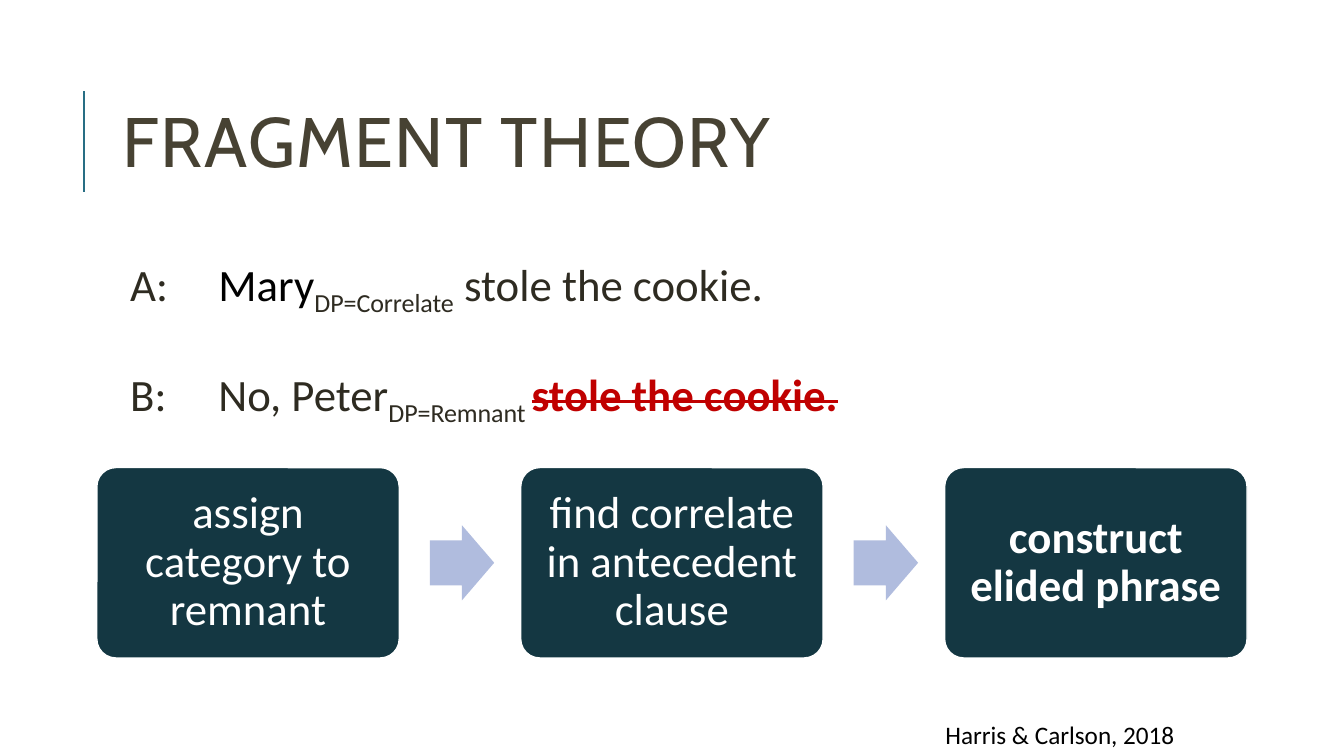
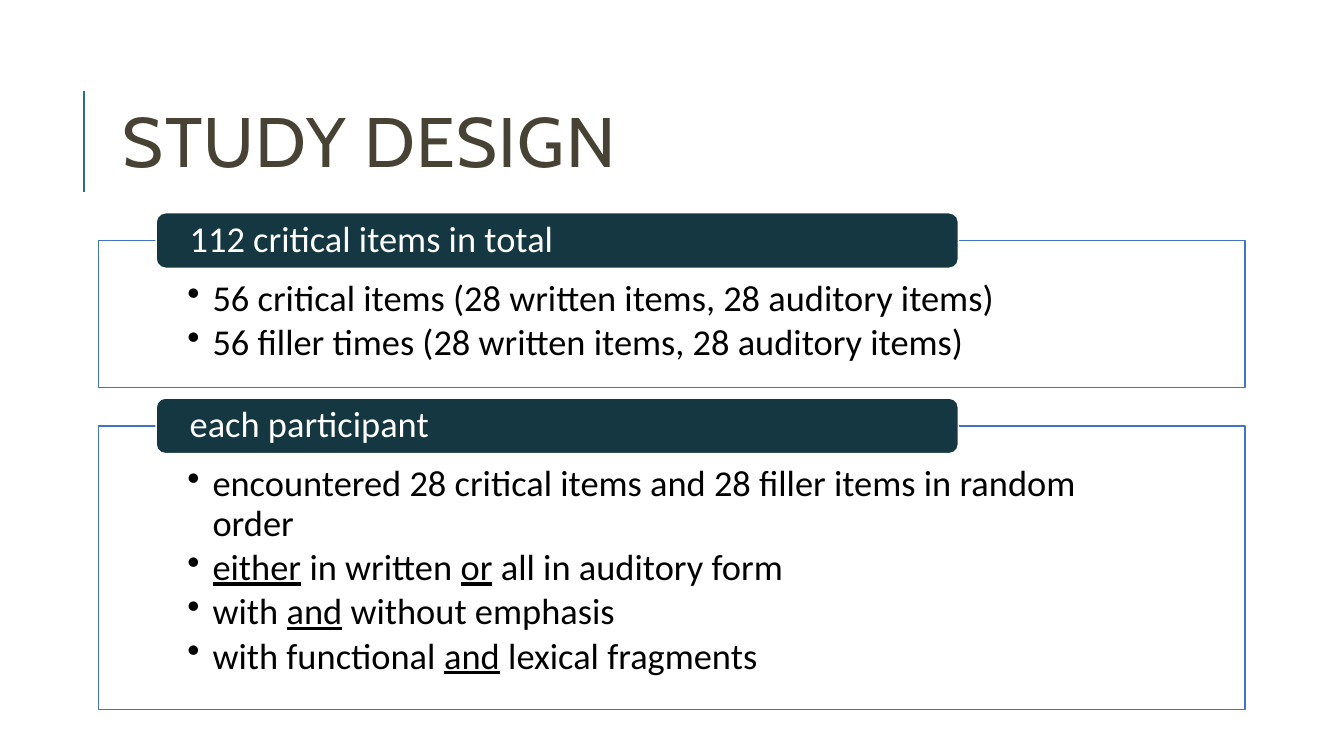
from lxml import etree
from pptx import Presentation
from pptx.dml.color import RGBColor
from pptx.enum.shapes import MSO_CONNECTOR, MSO_SHAPE
from pptx.enum.text import MSO_ANCHOR, MSO_AUTO_SIZE, PP_ALIGN
from pptx.oxml.ns import qn
from pptx.util import Pt

RECT, ROUND = MSO_SHAPE.RECTANGLE, MSO_SHAPE.ROUNDED_RECTANGLE
ARROW, LINE = MSO_SHAPE.RIGHT_ARROW, MSO_CONNECTOR.STRAIGHT
TOP, MIDDLE = MSO_ANCHOR.TOP, MSO_ANCHOR.MIDDLE
LEFT, CENTER, RIGHT = PP_ALIGN.LEFT, PP_ALIGN.CENTER, PP_ALIGN.RIGHT

TITLE_FONT, BODY_FONT = "Cabin", "Calibri"
WHITE, BLACK, RED = "FFFFFF", "000000", "C00000"
NAVY, TEAL, LILAC, BLUE = "143742", "286E84", "B0BCDE", "4472C4"
BROWN, INK = "474233", "2E2B21"

SUB = {"baseline": "-25000"}
UNDER = {"u": "sng"}
STRIKE = {"strike": "sngStrike", "b": "1"}

STEPS = [
    ("assign category to remnant", False),
    ("find correlate in antecedent clause", False),
    ("construct elided phrase", True),
]
DIALOG = [
    [("A:\t", INK, {}), ("Mary", BLACK, {}), ("DP=Correlate", INK, SUB),
     (" stole the cookie.", INK, {})],
    [("B:\tNo, Peter", INK, {}), ("DP=Remnant ", INK, SUB),
     ("stole the cookie.", RED, STRIKE)],
]
PANELS = [
    ("112 critical items in total", 105, [
        [("56 critical items (28 written items, 28 auditory items)", {})],
        [("56 filler times (28 written items, 28 auditory items)", {})],
    ]),
    ("each participant", 202.5, [
        [("encountered 28 critical items and 28 filler items in random order", {})],
        [("either", UNDER), (" in written ", {}), ("or", UNDER),
         (" all in auditory form", {})],
        [("with ", {}), ("and", UNDER), (" without emphasis", {})],
        [("with functional ", {}), ("and", UNDER), (" lexical fragments", {})],
    ]),
]


def color(code):
    """Turn a hex string into a colour."""
    return RGBColor.from_string(code)


def style(para, size, code, name=BODY_FONT, align=LEFT, space=0.9):
    """Set the font, alignment and line spacing of a paragraph."""
    para.font.size, para.font.name = Pt(size), name
    para.font.color.rgb = color(code)
    para.alignment, para.line_spacing = align, space
    para.space_before = para.space_after = Pt(0)


def frame(shape, anchor, sides, top=0):
    """Prepare the text frame of a shape."""
    text = shape.text_frame
    text.word_wrap, text.auto_size = True, MSO_AUTO_SIZE.NONE
    text.vertical_anchor = anchor
    text.margin_left = text.margin_right = Pt(sides)
    text.margin_top = text.margin_bottom = Pt(top)
    return text


def lines(text, count):
    """Return the given number of paragraphs of a text frame."""
    return [text.paragraphs[0]] + [text.add_paragraph() for _ in range(count - 1)]


def add_run(para, words, marks):
    """Add a run with character attributes."""
    run = para.add_run()
    run.text = words
    for key, value in marks.items():
        run._r.get_or_add_rPr().set(key, value)
    return run


def shape(slide, kind, box, fill, line=None, adj=()):
    """Add a flat preset shape."""
    item = slide.shapes.add_shape(kind, *map(Pt, box))
    item.shadow.inherit = False
    item.fill.solid()
    item.fill.fore_color.rgb = color(fill)
    if line:
        item.line.color.rgb, item.line.width = color(line), Pt(1)
    else:
        item.line.fill.background()
    for index, value in enumerate(adj):
        item.adjustments[index] = value
    return item


def textbox(slide, box, anchor=TOP, sides=0, top=0):
    """Add a wrapping text box and return its text frame."""
    return frame(slide.shapes.add_textbox(*map(Pt, box)), anchor, sides, top)


def new_slide(deck, title):
    """Add a slide with the shared title and side rule."""
    slide = deck.slides.add_slide(deck.slide_layouts[5])
    head = slide.shapes.title
    head.left, head.top, head.width, head.height = map(Pt, (80.6, 46, 765.4, 118))
    text = frame(head, MIDDLE, 7.2, 3.6)
    para = text.paragraphs[0]
    style(para, 50, BROWN, TITLE_FONT, space=0.8)
    add_run(para, title, {"spc": "100"})
    rule = slide.shapes.add_connector(LINE, Pt(60), Pt(137), Pt(60), Pt(65))
    rule.line.color.rgb, rule.line.width = color(TEAL), Pt(1.5)
    etree.SubElement(rule._element.spPr, qn("a:effectLst"))
    return slide


def dialog(slide):
    """Add the two speakers' lines, aligned on a tab stop."""
    text = textbox(slide, (93, 184, 752, 130))
    for row, para in enumerate(lines(text, len(DIALOG))):
        style(para, 32, INK)
        para.space_before = Pt(39 if row else 0)
        tabs = etree.Element(qn("a:tabLst"))
        etree.SubElement(tabs, qn("a:tab"), pos=str(Pt(63)), algn="l")
        props = para._p.get_or_add_pPr()
        props.insert(list(props).index(props.find(qn("a:defRPr"))), tabs)
        for words, code, marks in DIALOG[row]:
            add_run(para, words, marks).font.color.rgb = color(code)


def flow(slide):
    """Add the row of steps joined by block arrows."""
    left, top, wide, high, pitch = 69.2, 334, 216, 136, 302.8
    for index, (words, bold) in enumerate(STEPS):
        x = left + index * pitch
        if index:
            spot = (x - 65, top + (high - 53.6) / 2, 46, 53.6)
            shape(slide, ARROW, spot, LILAC, adj=(0.6, 0.5))
        step = shape(slide, ROUND, (x, top, wide, high), NAVY, WHITE, (0.1,))
        para = frame(step, MIDDLE, 9, 9).paragraphs[0]
        style(para, 32, WHITE, align=CENTER)
        para.font.bold = bold
        para.text = words


def cite(slide, words):
    """Add a right-aligned source line at the foot."""
    para = textbox(slide, (381.6, 510, 464.4, 21.6), TOP, 7.2, 3.6).paragraphs[0]
    style(para, 18, BLACK, align=RIGHT, space=1.0)
    para.text = words


def bullet(para, parts):
    """Fill a paragraph as a hanging bullet."""
    style(para, 26, BLACK)
    para.space_after = Pt(3.6)
    props = para._p.get_or_add_pPr()
    props.set("marL", str(Pt(18)))
    props.set("indent", str(-Pt(18)))
    mark = etree.Element(qn("a:buChar"), char="•")
    props.insert(list(props).index(props.find(qn("a:defRPr"))), mark)
    for words, marks in parts:
        add_run(para, words, marks)


def panel(slide, top, high, label, items):
    """Add an outlined bullet panel with a label on its top edge."""
    body = shape(slide, RECT, (70.4, top, 819, high), WHITE, BLUE)
    text = frame(body, TOP, 63.4, 28)
    for para, parts in zip(lines(text, len(items)), items):
        bullet(para, parts)
    tag = shape(slide, ROUND, (111.6, top - 20, 573, 39.6), NAVY, WHITE)
    para = frame(tag, MIDDLE, 22).paragraphs[0]
    style(para, 26, WHITE)
    para.text = label


def main():
    """Build and save the deck."""
    deck = Presentation()
    deck.slide_width, deck.slide_height = Pt(960), Pt(540)
    slide = new_slide(deck, "FRAGMENT THEORY")
    dialog(slide)
    flow(slide)
    cite(slide, "Harris & Carlson, 2018")
    slide = new_slide(deck, "STUDY DESIGN")
    top = 172
    for label, high, items in PANELS:
        panel(slide, top, high, label, items)
        top += high + 27.4
    deck.save("out.pptx")


if __name__ == "__main__":
    main()
